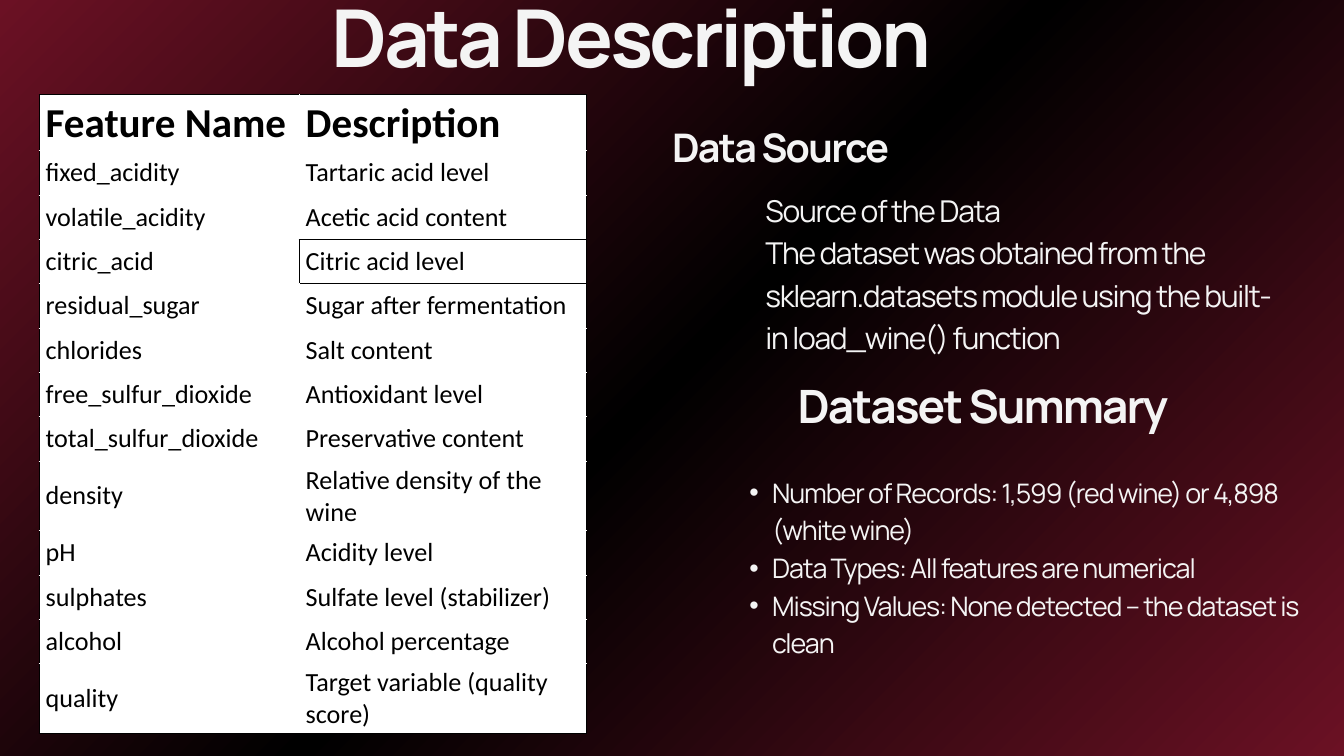
from lxml.etree import SubElement
from pptx import Presentation
from pptx.dml.color import RGBColor
from pptx.enum.text import MSO_ANCHOR, MSO_AUTO_SIZE, PP_ALIGN
from pptx.oxml import parse_xml
from pptx.oxml.ns import nsdecls, qn
from pptx.util import Inches, Pt

COLORS = {"wine": "6B1124", "black": "000000", "light": "F4F4F4", "white": "FFFFFF"}
FEATURES = [
    ("Feature Name", "Description"),
    ("fixed_acidity", "Tartaric acid level"),
    ("volatile_acidity", "Acetic acid content"),
    ("citric_acid", "Citric acid level"),
    ("residual_sugar", "Sugar after fermentation"),
    ("chlorides", "Salt content"),
    ("free_sulfur_dioxide", "Antioxidant level"),
    ("total_sulfur_dioxide", "Preservative content"),
    ("density", "Relative density of the wine"),
    ("pH", "Acidity level"),
    ("sulphates", "Sulfate level (stabilizer)"),
    ("alcohol", "Alcohol percentage"),
    ("quality", "Target variable (quality score)"),
]
SOURCE_LINES = [
    "Source of the Data",
    "The dataset was obtained from the sklearn.datasets module using the built-in load_wine() function",
]
SUMMARY_LINES = [
    "Number of Records: 1,599 (red wine) or 4,898 (white wine)",
    "Data Types: All features are numerical",
    "Missing Values: None detected – the dataset is clean",
]


def set_background(slide):
    """Fill the slide with a diagonal wine and black gradient."""
    slide.background.fill.solid()
    properties = slide.background._cSld.bg.bgPr
    properties.remove(properties.find(qn("a:solidFill")))
    stops = "".join(
        f'<a:gs pos="{position * 1000}"><a:srgbClr val="{COLORS[name]}"/></a:gs>'
        for position, name in ((0, "wine"), (50, "black"), (100, "wine"))
    )
    properties.insert(0, parse_xml(
        f'<a:gradFill {nsdecls("a")} rotWithShape="1"><a:gsLst>{stops}</a:gsLst>'
        '<a:lin ang="2700000" scaled="0"/></a:gradFill>'
    ))


def add_bullet(paragraph):
    """Give a paragraph a round bullet with a hanging indent."""
    paragraph.level = 1
    properties = paragraph._p.get_or_add_pPr()
    properties.set("marL", str(Inches(0.68)))
    properties.set("indent", str(Inches(-0.34)))
    SubElement(properties, qn("a:buFont")).set("typeface", "Arial")
    SubElement(properties, qn("a:buChar")).set("char", "•")


def write_text(frame, lines, size, font="Manrope", color="light", bold=False,
               align=PP_ALIGN.LEFT, line_height=None, tracking=None, bullets=False):
    """Write formatted paragraphs into a text frame."""
    for index, line in enumerate(lines):
        paragraph = frame.paragraphs[0] if index == 0 else frame.add_paragraph()
        paragraph.alignment = align
        if line_height:
            paragraph.line_spacing = Pt(line_height)
        if bullets:
            add_bullet(paragraph)
        run = paragraph.add_run()
        run.text = line
        run.font.name = font
        run.font.size = Pt(size)
        run.font.bold = bold
        run.font.color.rgb = RGBColor.from_string(COLORS[color])
        if tracking:
            run._r.get_or_add_rPr().set("spc", str(round(tracking * 100)))


def place_text(shape, lines, left, top, width, height, **text_format):
    """Position a text shape without insets and fill it."""
    shape.left, shape.top = Inches(left), Inches(top)
    shape.width, shape.height = Inches(width), Inches(height)
    frame = shape.text_frame
    frame.word_wrap = True
    frame.auto_size = MSO_AUTO_SIZE.SHAPE_TO_FIT_TEXT
    frame.vertical_anchor = MSO_ANCHOR.TOP
    frame.margin_left = frame.margin_top = frame.margin_right = frame.margin_bottom = 0
    write_text(frame, lines, **text_format)


def add_text(slide, lines, left, top, width, height, **text_format):
    """Add a text box with formatted paragraphs."""
    box = slide.shapes.add_textbox(0, 0, 0, 0)
    place_text(box, lines, left, top, width, height, **text_format)


def set_borders(cell, borders):
    """Draw the black borders given as side and width in points."""
    properties = cell._tc.get_or_add_tcPr()
    for side in "LRTB":
        if side in borders:
            properties.append(parse_xml(
                f'<a:ln{side} {nsdecls("a")} w="{Pt(borders[side])}"><a:solidFill>'
                f'<a:srgbClr val="{COLORS["black"]}"/></a:solidFill></a:ln{side}>'
            ))


def cell_borders(row, column):
    """Return the outer frame and the lines around the citric acid cell."""
    highlighted = {
        (2, 1): {"R": 0.75, "B": 1},
        (3, 0): {"L": 0.75, "R": 1},
        (3, 1): dict.fromkeys("LRTB", 1),
        (4, 1): {"R": 0.75, "T": 1, "B": 1},
    }
    if (row, column) in highlighted:
        return highlighted[row, column]
    borders = {"LR"[column]: 0.75}
    if row == 0:
        borders["T"] = 0.75
    if row == len(FEATURES) - 1:
        borders["B"] = 0.75
    return borders


def add_feature_table(slide):
    """Add the table of features and descriptions."""
    table = slide.shapes.add_table(
        len(FEATURES), 2, Inches(0.58), Inches(1.41), Inches(8.15), Inches(8.58)
    ).table
    for column, width in zip(table.columns, (3.87, 4.28)):
        column.width = Inches(width)
    for row, texts in enumerate(FEATURES):
        table.rows[row].height = Inches(0.66)
        for column, text in enumerate(texts):
            cell = table.cell(row, column)
            cell.vertical_anchor = MSO_ANCHOR.MIDDLE
            set_borders(cell, cell_borders(row, column))
            cell.fill.solid()
            cell.fill.fore_color.rgb = RGBColor.from_string(COLORS["white"])
            write_text(cell.text_frame, [text], size=28 if row else 44,
                       font="Calibri", color="black", bold=row == 0)


def main():
    """Build and save the data description slide."""
    presentation = Presentation()
    presentation.slide_width, presentation.slide_height = Inches(20), Inches(11.25)
    slide = presentation.slides.add_slide(presentation.slide_layouts[5])
    set_background(slide)
    place_text(slide.shapes.title, ["Data Description"], 1.57, 0.12, 15.66, 1.3, size=85.5,
               bold=True, align=PP_ALIGN.CENTER, line_height=81.2, tracking=-3.6)
    add_text(slide, ["Data Source"], 10, 1.72, 7.62, 0.83, size=42.2,
             bold=True, line_height=59.1, tracking=-1.8)
    add_text(slide, SOURCE_LINES, 11.39, 2.78, 7.62, 2.51, size=32.2,
             line_height=45.1, tracking=-1.4)
    add_text(slide, ["Dataset Summary"], 10.37, 5.48, 8.51, 0.96, size=49.2,
             bold=True, align=PP_ALIGN.CENTER, line_height=68.9, tracking=-2.1)
    add_text(slide, SUMMARY_LINES, 10.81, 7.01, 8.78, 3.35, size=28.8,
             line_height=40.3, tracking=-1.2, bullets=True)
    add_feature_table(slide)
    presentation.save("out.pptx")


if __name__ == "__main__":
    main()
